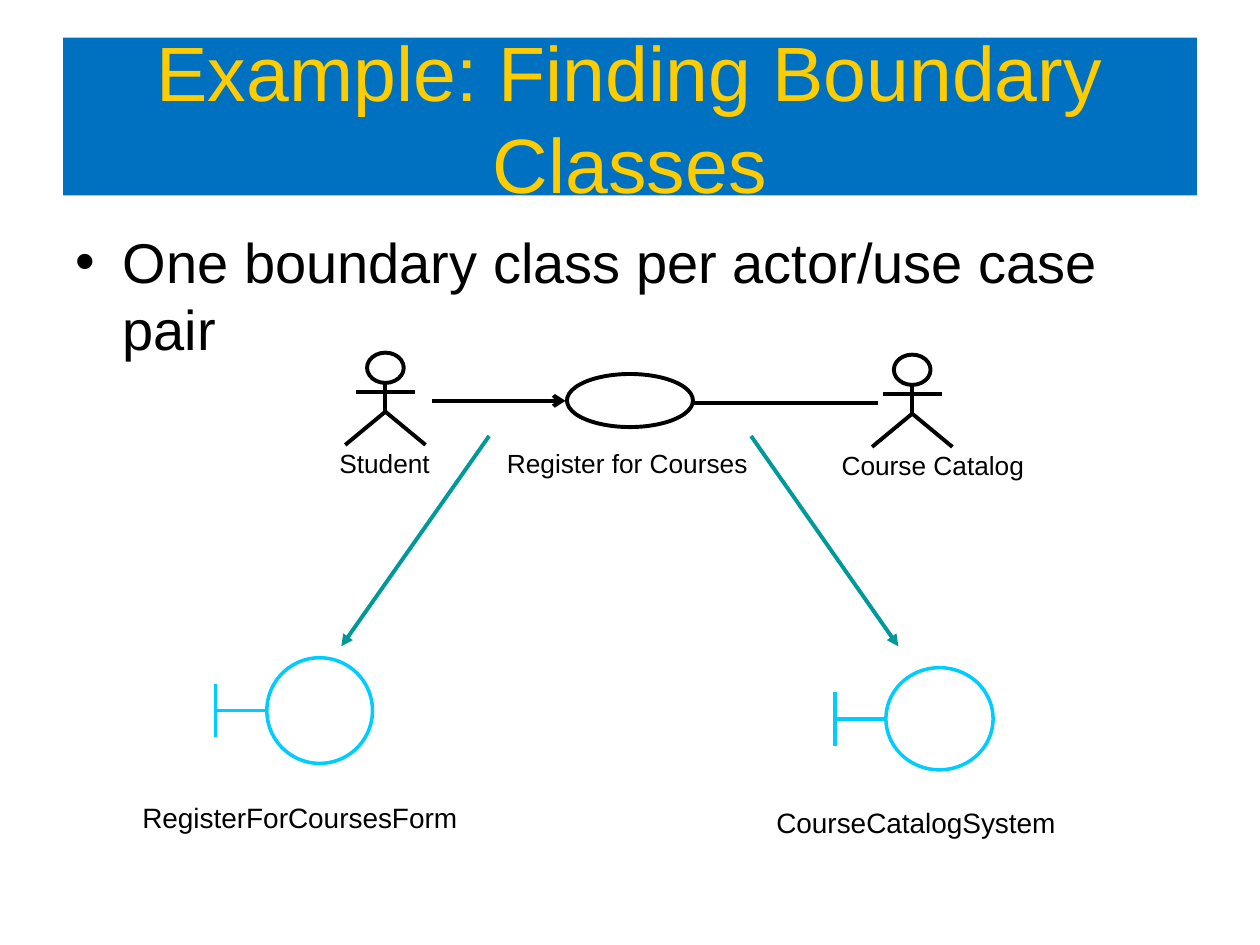
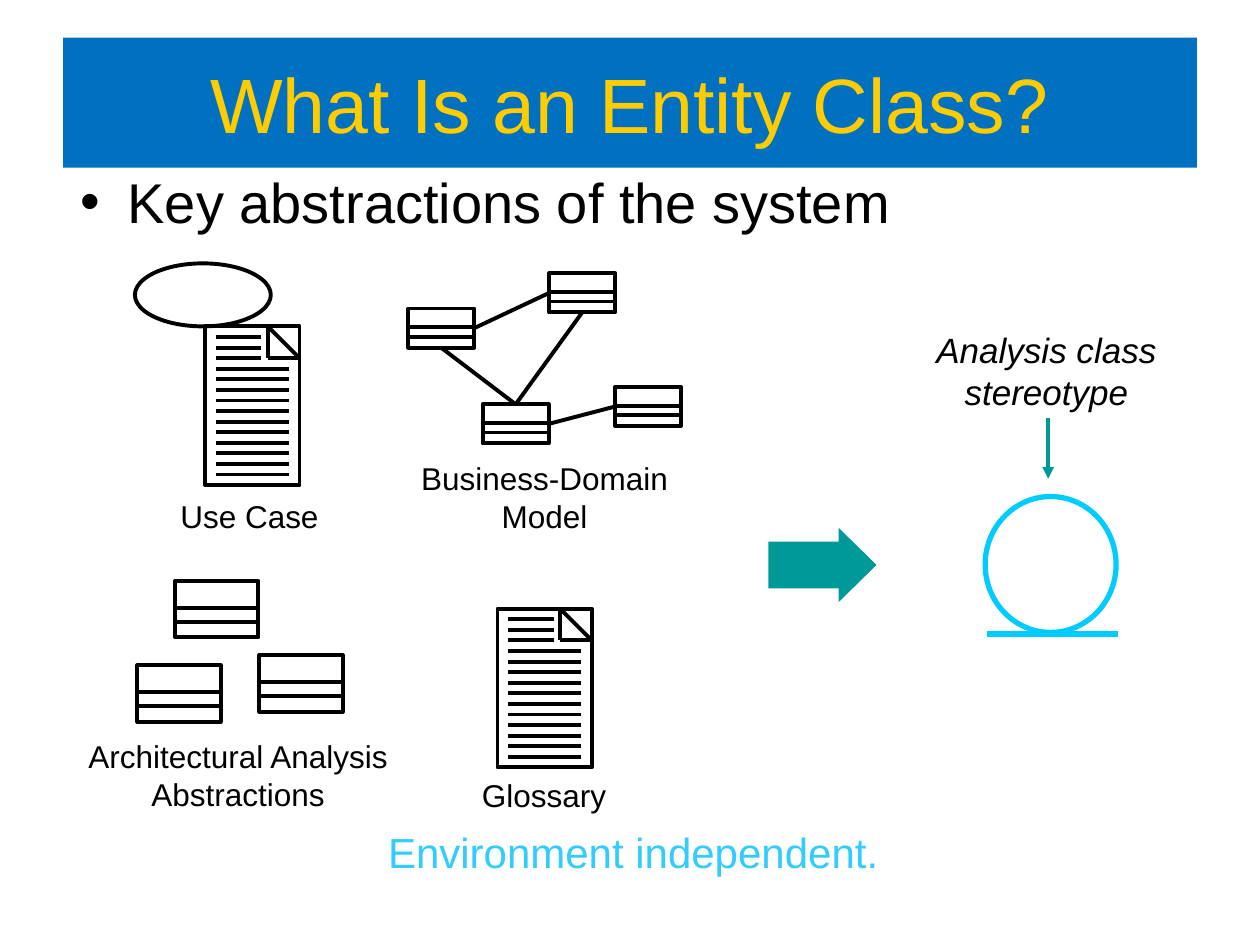
from dataclasses import dataclass

from lxml.etree import SubElement
from pptx import Presentation
from pptx.dml.color import RGBColor
from pptx.enum.shapes import MSO_CONNECTOR as Conn, MSO_SHAPE as Kind
from pptx.enum.text import MSO_ANCHOR as Anchor, MSO_AUTO_SIZE as Fit, PP_ALIGN as Align
from pptx.oxml.ns import qn
from pptx.util import Cm, Pt


@dataclass(frozen=True)
class Theme:
    font: str = "Arial"
    ink: str = "000000"
    band: str = "0070C0"
    gold: str = "FFCC00"
    teal: str = "009999"
    cyan: str = "00CCFF"
    sky: str = "33CCFF"
    head: int = 44
    body: int = 32
    close: int = 24
    note: int = 20
    label: int = 18
    name: int = 16
    role: int = 15
    thin: float = 2
    line: float = 2.25
    bold: float = 3


T = Theme()
TOP, BOTTOM, LEFT, RIGHT = 0, 2, 1, 3

# All places and sizes are in centimetres.
PAGES = [
    dict(title="Example: Finding Boundary Classes", high=3.18,
         point="One boundary class per actor/use case pair", at=(1.27, 4.45)),
    dict(title="What Is an Entity Class?", high=2.62,
         point="Key abstractions of the system", at=(1.37, 3.25)),
]

# Name, middle of figure, top, left of label
ACTORS = [("Student", 7.77, 7.11, 4.34), ("Course Catalog", 18.39, 7.15, 15.39)]
CASE = ("Register for Courses", (11.43, 7.54, 2.54, 1.07), (9.47, 8.89, 6.35, 0.89))
# Name, circle, label
BOUNDS = [
    ("RegisterForCoursesForm", (5.38, 13.26, 2.13, 2.13), (2.87, 16.13, 6.35, 0.69)),
    ("CourseCatalogSystem", (17.86, 13.46, 2.16, 2.06), (15.65, 16.23, 5.64, 0.69)),
]
FLOWS = [(9.86, 8.79, 6.88, 13.03), (15.14, 8.79, 18.11, 13.03)]

DOCS = [(10.03, 12.27), (4.14, 6.58)]
DOMAIN = [(8.23, 6.22), (11.07, 5.51), (9.73, 8.15), (12.4, 7.8)]
LINKS = [(2, TOP, 0, BOTTOM), (0, RIGHT, 1, LEFT), (2, RIGHT, 3, LEFT), (2, TOP, 1, BOTTOM)]
ABSTRACT = [(3.53, 11.71), (5.23, 13.21), (2.77, 13.41)]
WIDE = (0.3, 0.15)
LABELS = [
    (["Glossary"], (9.47, 15.52, 3, 1.02), dict(wrap=False)),
    (["Business-Domain", "Model"], (8.15, 9.12, 5.66, 1.78), dict(wrap=False)),
    (["Use Case"], (3.2, 9.88, 3.66, 1.02), {}),
    (["Architectural Analysis Abstractions"], (1.37, 14.71, 6.86, 1.83), dict(pad=WIDE)),
    (["Analysis class stereotype"], (18.57, 6.48, 5.05, 2.01),
     dict(size=T.note, italic=True, pad=WIDE)),
    (["Environment independent."], (7.52, 16.54, 10.49, 1.27),
     dict(size=T.close, color=T.sky)),
]


def rgb(code):
    return RGBColor.from_string(code)


def cms(vals):
    return [Cm(v) for v in vals]


def write(frame, lines, size=T.label, color=T.ink, align=Align.CENTER, italic=False,
          wrap=True, pad=(0.25, 0.13), anchor=Anchor.TOP):
    frame.word_wrap = wrap
    frame.auto_size = Fit.NONE
    frame.vertical_anchor = anchor
    frame.margin_left = frame.margin_right = Cm(pad[0])
    frame.margin_top = frame.margin_bottom = Cm(pad[1])
    for i, line in enumerate(lines):
        para = frame.paragraphs[0] if i == 0 else frame.add_paragraph()
        para.alignment = align
        para.space_before = Pt(0)
        run = para.add_run()
        run.text = line
        font = run.font
        font.name, font.size, font.italic = T.font, Pt(size), italic
        font.color.rgb = rgb(color)


def label(slide, lines, box, **form):
    write(slide.shapes.add_textbox(*cms(box)).text_frame, lines, **form)


def trim(shape, color, width):
    """Leave a shape with its outline only."""
    shape.shadow.inherit = False
    shape.fill.background()
    shape.line.color.rgb = rgb(color)
    shape.line.width = Pt(width)
    return shape


def outline(slide, kind, box, color=T.ink, width=T.line):
    return trim(slide.shapes.add_shape(kind, *cms(box)), color, width)


def rule(slide, x1, y1, x2, y2, color=T.ink, width=T.line, tip=None):
    line = slide.shapes.add_connector(Conn.STRAIGHT, *cms((x1, y1, x2, y2)))
    line.line.color.rgb = rgb(color)
    line.line.width = Pt(width)
    props = line._element.spPr
    if tip:
        SubElement(props.find(qn("a:ln")), qn("a:tailEnd"), type=tip)
    SubElement(props, qn("a:effectLst"))
    return line


def start(deck, page):
    """Add a slide with its title band and bullet."""
    slide = deck.slides.add_slide(deck.slide_layouts[1])
    title, body = slide.placeholders
    spots = [(title, (1.27, 0.76, 22.86, page["high"])), (body, (*page["at"], 22.86, 12.57))]
    for part, box in spots:
        part.left, part.top, part.width, part.height = cms(box)
    title.fill.solid()
    title.fill.fore_color.rgb = rgb(T.band)
    write(title.text_frame, [page["title"]], size=T.head, color=T.gold, anchor=Anchor.MIDDLE)
    write(body.text_frame, [page["point"]], size=T.body, align=Align.LEFT)
    return slide


def actor(slide, name, mid, top, left):
    hip = top + 1.19
    outline(slide, Kind.OVAL, (mid - 0.37, top, 0.74, 0.61))
    rule(slide, mid, top + 0.61, mid, hip)
    rule(slide, mid - 0.59, top + 0.79, mid + 0.59, top + 0.79)
    foot = hip + 0.67
    pen = slide.shapes.build_freeform(Cm(mid - 0.81), Cm(foot))
    pen.add_line_segments([cms((mid, hip)), cms((mid + 0.81, foot))], close=False)
    trim(pen.convert_to_shape(), T.ink, T.line)
    label(slide, [name], (left, top + 1.78, 6.83, 0.89), size=T.role)


def bound(slide, name, ring, box):
    look = dict(color=T.cyan, width=T.thin)
    x, y, _, high = ring
    mid, bar = y + high / 2, x - 1.03
    outline(slide, Kind.OVAL, ring, **look)
    rule(slide, bar, mid - 0.54, bar, mid + 0.54, **look)
    rule(slide, bar, mid, x, mid, **look)
    label(slide, [name], box, size=T.name, align=Align.LEFT, wrap=False, pad=(0, 0))


def sheet(slide, x, y, wide=1.9, high=3.2, fold=0.64, rows=15):
    """Draw a page of ruled text with a folded corner."""
    outline(slide, Kind.RECTANGLE, (x, y, wide, high))
    end, crease, low = x + wide, x + wide - fold, y + fold
    rule(slide, crease, y, end, low)
    rule(slide, crease, y, crease, low)
    rule(slide, end, low, crease, low)
    step = high / rows
    for row in range(1, rows):
        stop = crease - 0.13 if row <= 3 else end - step
        rule(slide, x + step, y + row * step, stop, y + row * step)


def entity(slide, x, y, wide, high):
    """Draw a class box with three parts."""
    box = outline(slide, Kind.RECTANGLE, (x, y, wide, high))
    for part in (0.48, 0.72):
        rule(slide, x, y + part * high, x + wide, y + part * high)
    return box


def finding(deck):
    slide = start(deck, PAGES[0])
    for item in ACTORS:
        actor(slide, *item)
    name, oval, box = CASE
    outline(slide, Kind.OVAL, oval)
    label(slide, [name], box, size=T.role)
    rule(slide, 8.71, 8.08, 11.4, 8.08, tip="arrow")
    rule(slide, 14, 8.13, 17.7, 8.13)
    for ends in FLOWS:
        rule(slide, *ends, color=T.teal, tip="triangle")
    for item in BOUNDS:
        bound(slide, *item)


def meaning(deck):
    slide = start(deck, PAGES[1])
    outline(slide, Kind.OVAL, (2.72, 5.31, 2.74, 1.27))
    for spot in DOCS:
        sheet(slide, *spot)
    boxes = [entity(slide, *spot, 1.33, 0.79) for spot in DOMAIN]
    for a, out, b, into in LINKS:
        link = rule(slide, 0, 0, 1, 1)
        link.begin_connect(boxes[a], out)
        link.end_connect(boxes[b], into)
    for spot in ABSTRACT:
        entity(slide, *spot, 1.68, 1.14)
    for lines, box, form in LABELS:
        label(slide, lines, box, **form)

    arrow = slide.shapes.add_shape(Kind.RIGHT_ARROW, *cms((15.49, 10.64, 2.18, 1.5)))
    arrow.adjustments[0], arrow.adjustments[1] = 0.63, 0.51
    arrow.shadow.inherit = False
    arrow.fill.solid()
    arrow.fill.fore_color.rgb = rgb(T.teal)
    arrow.line.fill.background()

    rule(slide, 21.13, 8.43, 21.13, 9.65, color=T.teal, tip="triangle")
    look = dict(color=T.cyan, width=T.bold)
    outline(slide, Kind.OVAL, (19.86, 10.01, 2.64, 2.74), **look)
    rule(slide, 19.89, 12.78, 22.53, 12.78, **look)


def main():
    deck = Presentation()
    deck.slide_width, deck.slide_height = Cm(25.4), Cm(19.05)
    finding(deck)
    meaning(deck)
    deck.save("out.pptx")


if __name__ == "__main__":
    main()
